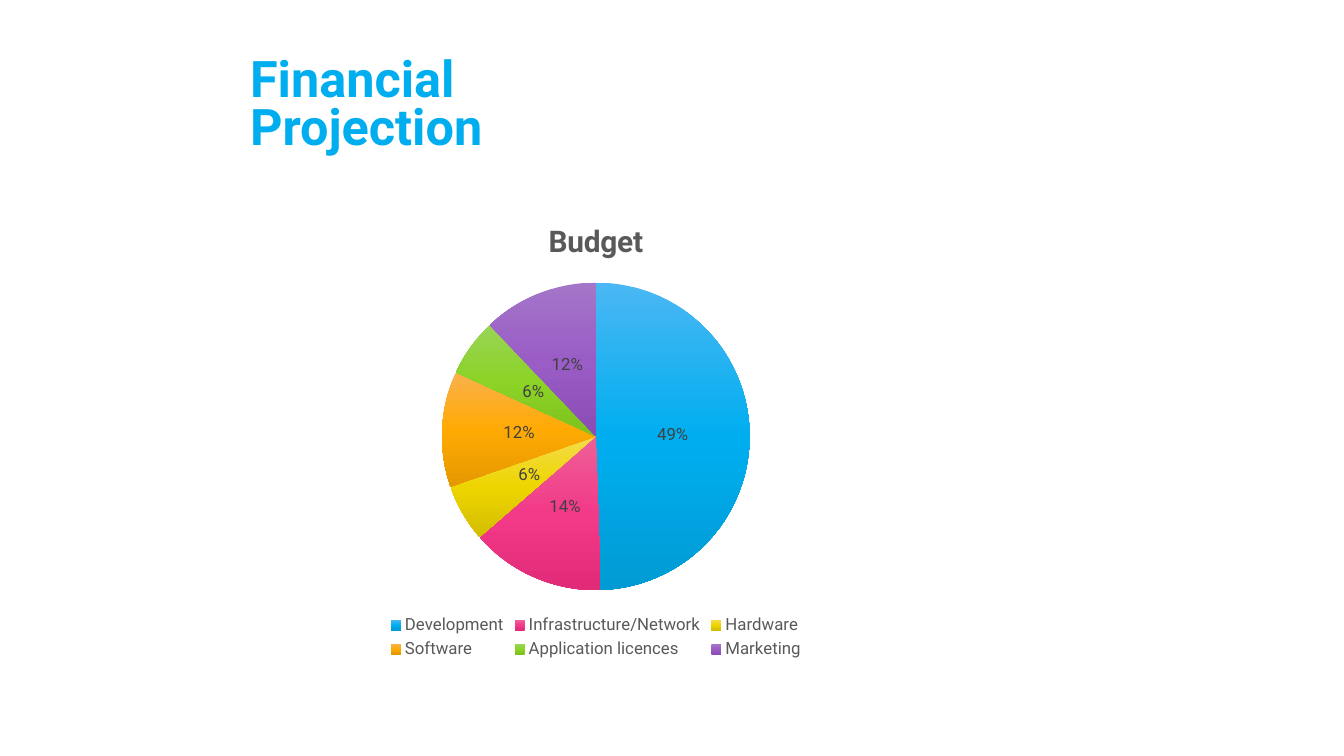
from copy import deepcopy

from pptx import Presentation
from pptx.chart.data import CategoryChartData
from pptx.dml.color import RGBColor
from pptx.enum.chart import XL_CHART_TYPE, XL_LABEL_POSITION, XL_LEGEND_POSITION
from pptx.enum.text import MSO_ANCHOR, MSO_AUTO_SIZE, PP_ALIGN
from pptx.util import Inches, Pt

PIE = XL_CHART_TYPE.PIE
LABEL_CENTER = XL_LABEL_POSITION.CENTER
LEGEND_BOTTOM = XL_LEGEND_POSITION.BOTTOM
ANCHOR_BOTTOM = MSO_ANCHOR.BOTTOM
NO_AUTOFIT = MSO_AUTO_SIZE.NONE
LEFT = PP_ALIGN.LEFT

FONT = "Roboto"
BLUE = RGBColor(0x00, 0xAE, 0xEF)
GRAY = RGBColor(0x59, 0x59, 0x59)
DARK_GRAY = RGBColor(0x40, 0x40, 0x40)
BLACK = RGBColor(0x00, 0x00, 0x00)

BUDGET = [
    ("Development", 49, ("4BB7F4", "00AEEF", "009BD4")),
    ("Infrastructure/Network", 14, ("EE6097", "F23A89", "E12A78")),
    ("Hardware", 6, ("F4DC4B", "EED500", "D3BD00")),
    ("Software", 12, ("F9B14C", "FFAA03", "E59800")),
    ("Application licences", 6, ("98D455", "8CD328", "7EC21D")),
    ("Marketing", 12, ("A476C8", "9A5DC6", "894DB5")),
]


def set_font(font, size, color, bold=False):
    font.name = FONT
    font.size = Pt(size)
    font.color.rgb = color
    font.bold = bold


def place_title(slide, box, text):
    title = slide.shapes.title
    title.left, title.top, title.width, title.height = box
    frame = title.text_frame
    frame.text = text
    frame.word_wrap = True
    frame.auto_size = NO_AUTOFIT
    frame.vertical_anchor = ANCHOR_BOTTOM
    heading = frame.paragraphs[0]
    heading.alignment = LEFT
    heading.line_spacing = 0.8
    set_font(heading.font, 36, BLUE, True)


def shade_slices(series):
    for index, (_, _, shades) in enumerate(BUDGET):
        fill = series.points[index].format.fill
        fill.gradient()
        fill.gradient_angle = 270
        stop_list = series._element.xpath("c:dPt/c:spPr/a:gradFill/a:gsLst")[index]
        stop_list.append(deepcopy(stop_list[0]))
        for step, (stop, shade) in enumerate(zip(fill.gradient_stops, shades)):
            stop.position = step / 2
            stop.color.rgb = RGBColor.from_string(shade)


def place_budget_pie(slide, box):
    data = CategoryChartData()
    data.categories = [name for name, _, _ in BUDGET]
    data.add_series("Budget", [share for _, share, _ in BUDGET])
    chart = slide.shapes.add_chart(PIE, *box, data).chart
    set_font(chart.font, 10, BLACK)

    chart.has_title = True
    chart.chart_title.include_in_layout = False
    heading = chart.chart_title.text_frame
    heading.text = "Budget"
    set_font(heading.paragraphs[0].font, 21.3, GRAY, True)

    chart.has_legend = True
    chart.legend.position = LEGEND_BOTTOM
    chart.legend.include_in_layout = False
    set_font(chart.legend.font, 12, GRAY)

    plot = chart.plots[0]
    plot.vary_by_categories = True
    plot.has_data_labels = True
    labels = plot.data_labels
    labels.show_percentage = True
    labels.show_value = False
    labels.number_format = "0%"
    labels.number_format_is_linked = False
    labels.position = LABEL_CENTER
    set_font(labels.font, 12, DARK_GRAY)
    shade_slices(plot.series[0])


def main():
    deck = Presentation()
    deck.slide_width, deck.slide_height = Inches(13.33), Inches(7.5)
    slide = deck.slides.add_slide(deck.slide_layouts[5])
    place_title(
        slide,
        (Inches(2.38), Inches(0.42), Inches(4.58), Inches(1.17)),
        "Financial Projection",
    )
    place_budget_pie(slide, (Inches(1.16), Inches(2), Inches(9.5), Inches(4.58)))
    deck.save("out.pptx")


if __name__ == "__main__":
    main()
